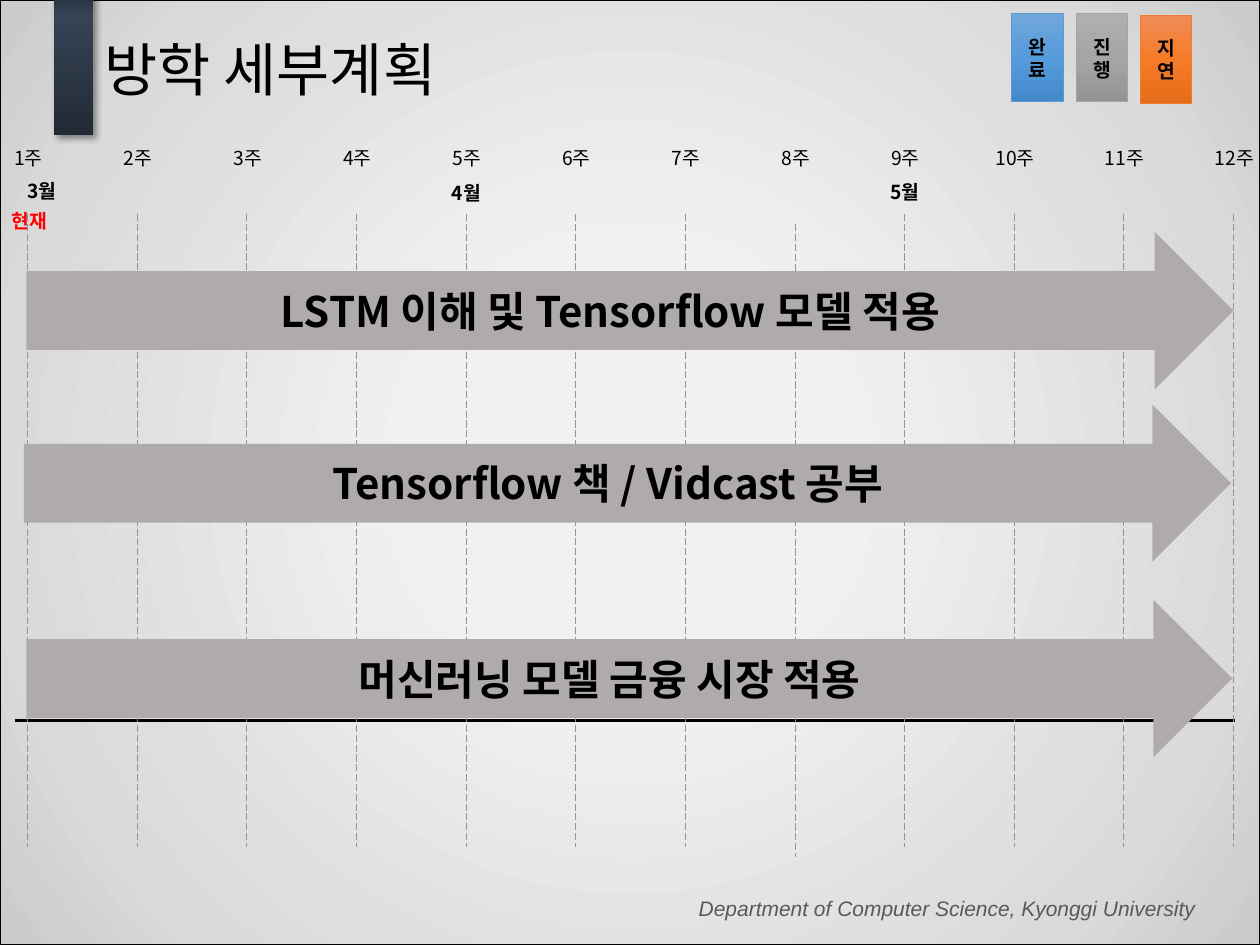
from dataclasses import dataclass

import pptx
import pptx.dml.color
import pptx.enum.dml
import pptx.enum.shapes
import pptx.enum.text
import pptx.oxml
import pptx.oxml.ns
import pptx.util
from lxml import etree

WIDTH, HEIGHT = 10, 7.5
FIRST_COLUMN, COLUMN = 0.22, 0.87
WEEKS = 12
LINE_TOP, LINE_LENGTH = 1.7, 5.02
KOREAN = "Noto Sans CJK KR"

SHAPES = pptx.enum.shapes.MSO_SHAPE
ALIGN = pptx.enum.text.PP_ALIGN
MIDDLE = pptx.enum.text.MSO_ANCHOR.MIDDLE
inches = pptx.util.Inches
qn = pptx.oxml.ns.qn


@dataclass
class Box:
    left: float
    top: float
    width: float
    height: float

    def lengths(self) -> list:
        return [inches(n) for n in (self.left, self.top, self.width, self.height)]


@dataclass
class Status:
    label: str
    box: Box
    stops: list
    line: str


@dataclass
class Task:
    label: str
    box: Box


@dataclass
class Month:
    label: str
    week: int
    top: float
    shift: float = 0


STATUSES = [
    Status("진\n행", Box(8.54, 0.11, 0.41, 0.7),
           [(0, "AFAFAF"), (50, "A5A5A5"), (100, "939393")], "A5A5A5"),
    Status("지\n연", Box(9.05, 0.12, 0.41, 0.7),
           [(0, "F18C57"), (50, "F67B28"), (100, "E56C19")], "ED7D31"),
    Status("완\n료", Box(8.03, 0.11, 0.41, 0.7),
           [(0, "71A6DB"), (50, "559BDB"), (100, "448ACA")], "5B9BD5"),
]
TASKS = [
    Task("LSTM 이해 및 Tensorflow 모델 적용", Box(0.21, 1.84, 9.58, 1.25)),
    Task("Tensorflow 책 / Vidcast 공부", Box(0.19, 3.21, 9.58, 1.25)),
    Task("머신러닝 모델 금융 시장 적용", Box(0.21, 4.76, 9.57, 1.25)),
]
MONTHS = [Month("3월", 1, 1.37, 0.11), Month("4월", 5, 1.39), Month("5월", 9, 1.38)]


def color(value: str):
    return pptx.dml.color.RGBColor.from_string(value)


def week_x(week: int) -> float:
    return FIRST_COLUMN + COLUMN * (week - 1)


def write(shape, text: str, *, size=11, font=KOREAN, fill="000000", bold=False,
          italic=False, align=ALIGN.CENTER, anchor=None, side_inset=0.1, spacing=None):
    frame = shape.text_frame
    frame.word_wrap = True
    frame.margin_left = frame.margin_right = inches(side_inset)
    if anchor is not None:
        frame.vertical_anchor = anchor
    paragraph = frame.paragraphs[0]
    paragraph.text = text.replace("\n", "\v")
    paragraph.alignment = align
    paragraph.line_spacing = spacing
    for run in paragraph.runs:
        run.font.size = pptx.util.Pt(size)
        run.font.bold = bold
        run.font.italic = italic
        run.font.color.rgb = color(fill)
        run.font.name = font
        etree.SubElement(run.font._element, qn("a:ea"), typeface=font)


def add_label(slide, text: str, box: Box, **text_format):
    write(slide.shapes.add_textbox(*box.lengths()), text, **text_format)


def add_block(slide, box: Box, kind=SHAPES.RECTANGLE, fill=None, line=None):
    shape = slide.shapes.add_shape(kind, *box.lengths())
    shape.shadow.inherit = False
    if fill:
        shape.fill.solid()
        shape.fill.fore_color.rgb = color(fill)
    if line:
        shape.line.color.rgb = color(line)
        shape.line.width = pptx.util.Pt(0.5)
    else:
        shape.line.fill.background()
    return shape


def set_gradient(shape, stops: list, angle=None):
    """Fill along an angle in degrees, or outwards from the centre without one."""
    shape.fill.background()
    marks = "".join(f'<a:gs pos="{position * 1000}"><a:srgbClr val="{value}"/></a:gs>'
                    for position, value in stops)
    if angle is None:
        course = ('<a:path path="circle"><a:fillToRect l="50000" t="50000" '
                  'r="50000" b="50000"/></a:path>')
    else:
        course = f'<a:lin ang="{angle * 60000}" scaled="0"/>'
    gradient = pptx.oxml.parse_xml(
        f'<a:gradFill {pptx.oxml.ns.nsdecls("a")} rotWithShape="1">'
        f'<a:gsLst>{marks}</a:gsLst>{course}</a:gradFill>')
    properties = shape.element.spPr
    properties.replace(properties.find(qn("a:noFill")), gradient)


def set_shadow(shape, value: str, opacity: int, blur: float, distance: float, angle: int):
    effects = shape.element.spPr.find(qn("a:effectLst"))
    shadow = etree.SubElement(
        effects, qn("a:outerShdw"), blurRad=str(pptx.util.Pt(blur)),
        dist=str(pptx.util.Pt(distance)), dir=str(angle * 60000), algn="tl", rotWithShape="0")
    tint = etree.SubElement(shadow, qn("a:srgbClr"), val=value)
    etree.SubElement(tint, qn("a:alpha"), val=str(opacity * 1000))


def add_line(slide, start: tuple, end: tuple, value: str, width: float, dash=None):
    line = slide.shapes.add_connector(
        pptx.enum.shapes.MSO_CONNECTOR.STRAIGHT, *[inches(n) for n in start + end])
    line.line.color.rgb = color(value)
    line.line.width = pptx.util.Pt(width)
    if dash is not None:
        line.line.dash_style = dash
    etree.SubElement(line.element.spPr, qn("a:effectLst"))


def add_frame(slide):
    """Draw the backdrop, footer and accent bar, then the title above them."""
    backdrop = add_block(slide, Box(0, 0, WIDTH, HEIGHT), line="000000")
    set_gradient(backdrop, [(27, "F1F1F1"), (80, "DADADA"), (100, "CACACA")])
    add_label(slide, "Department of Computer Science, Kyonggi University",
              Box(1.93, 7.06, 7.66, 0.3), size=12, font="Arial", fill="595959",
              italic=True, align=ALIGN.RIGHT)
    accent = add_block(slide, Box(0.43, -0.11, 0.31, 1.18))
    set_gradient(accent, [(0, "222A35"), (80, "364355"), (100, "222A35")], 270)
    set_shadow(accent, "000000", 40, 4, 3, 45)
    title = slide.shapes.title
    title.left, title.top, title.width, title.height = Box(0.73, -0.15, 8.62, 1.45).lengths()
    write(title, "방학 세부계획", size=33, align=ALIGN.LEFT, anchor=MIDDLE, spacing=0.9)
    title.element.getparent().append(title.element)


def add_calendar(slide):
    add_line(slide, (0.12, 5.72), (9.8, 5.72), "000000", 1.5)
    for week in range(1, WEEKS + 1):
        x = week_x(week)
        top = LINE_TOP + (0.08 if week == 8 else 0)
        add_line(slide, (x, top), (x, top + LINE_LENGTH), "8497B0", 0.5,
                 pptx.enum.dml.MSO_LINE.LONG_DASH)
        add_label(slide, f"{week}주", Box(x - 0.29, 1.11, 0.59, 0.29))
    for month in MONTHS:
        left = week_x(month.week) + month.shift - 0.49
        add_label(slide, month.label, Box(left, month.top, 0.98, 0.29), bold=True)
    add_label(slide, "현재", Box(0.01, 1.62, 0.45, 0.27), fill="FF0000", bold=True,
              anchor=MIDDLE, side_inset=0)


def main():
    presentation = pptx.Presentation()
    presentation.slide_width, presentation.slide_height = inches(WIDTH), inches(HEIGHT)
    slide = presentation.slides.add_slide(presentation.slide_layouts[5])
    add_frame(slide)
    for status in STATUSES:
        shape = add_block(slide, status.box, line=status.line)
        set_gradient(shape, status.stops, 90)
        write(shape, status.label, bold=True, anchor=MIDDLE, side_inset=0)
    add_calendar(slide)
    for task in TASKS:
        arrow = add_block(slide, task.box, SHAPES.RIGHT_ARROW, fill="AFABAB")
        write(arrow, task.label, size=24, bold=True, anchor=MIDDLE, side_inset=0)
    presentation.save("out.pptx")


if __name__ == "__main__":
    main()
